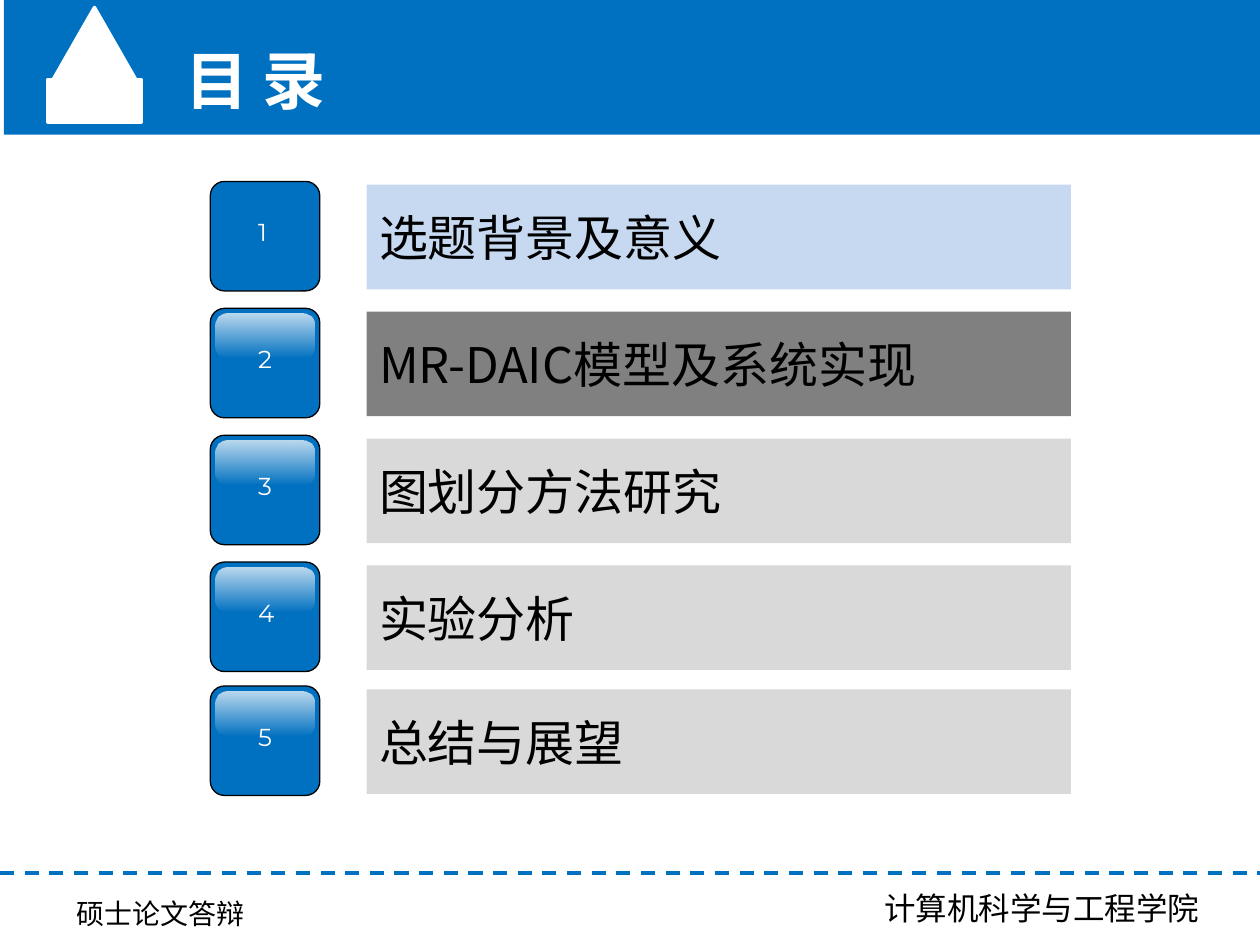
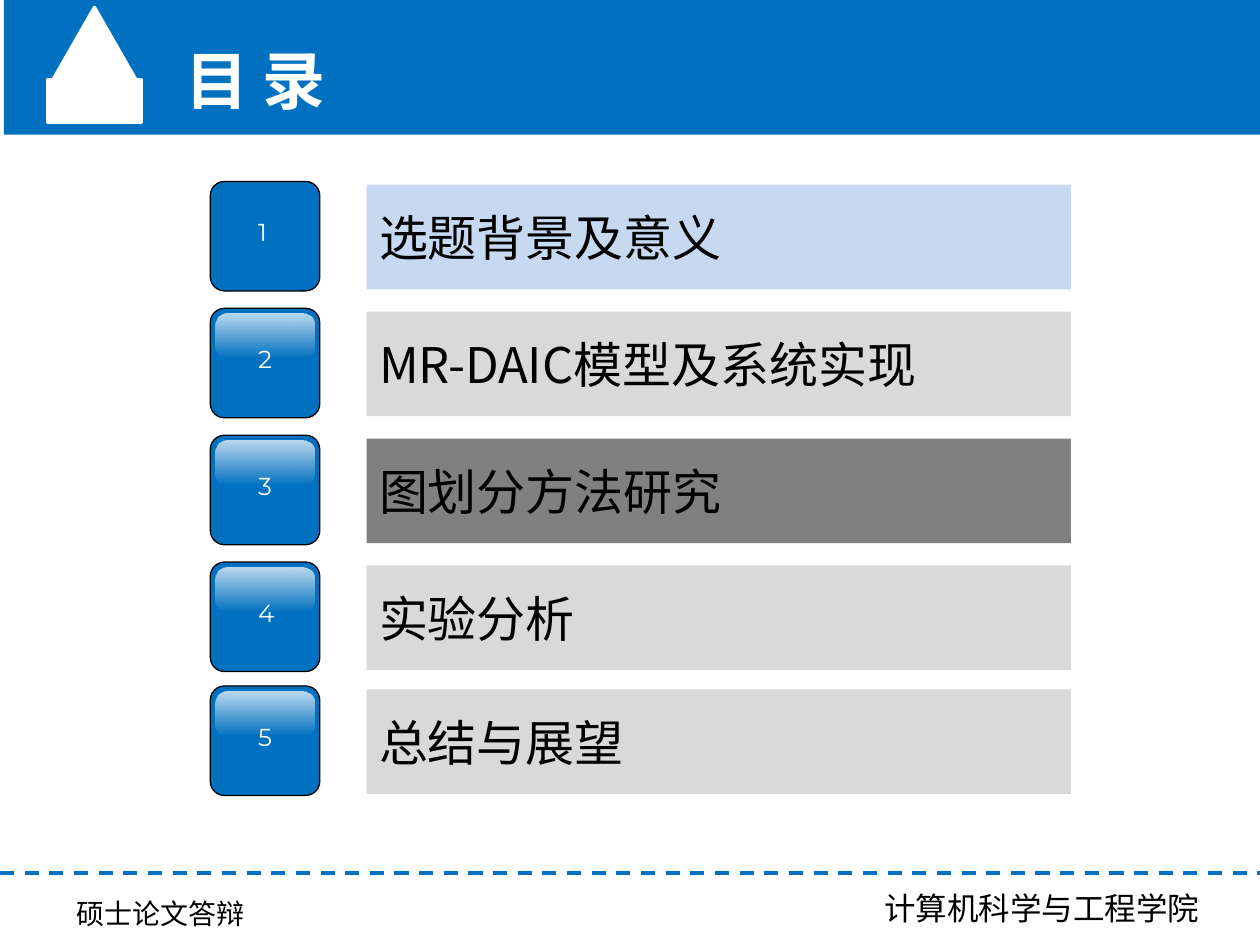
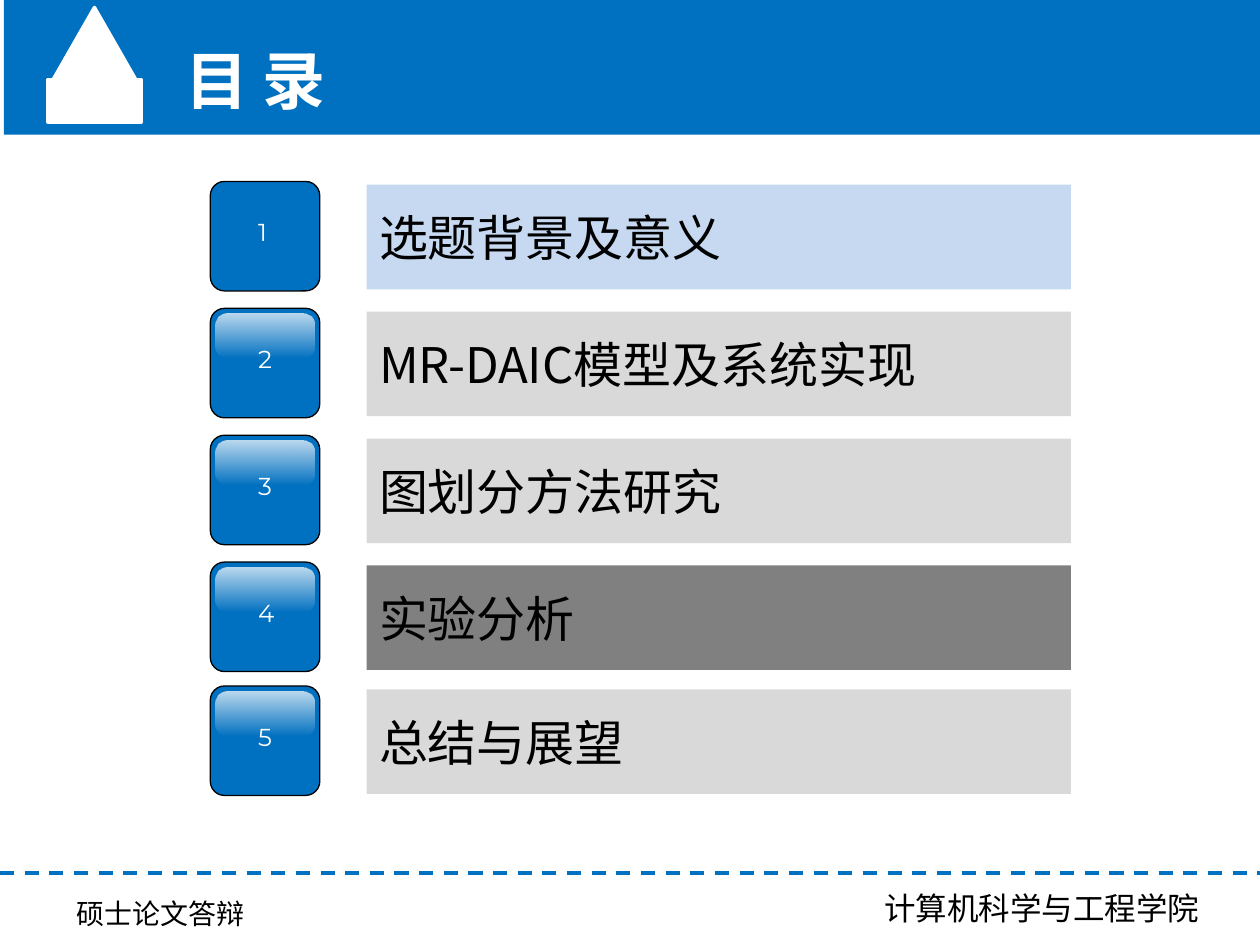
from dataclasses import dataclass

from lxml.etree import SubElement
from pptx import Presentation
from pptx.dml.color import RGBColor as RGB
from pptx.enum.dml import MSO_LINE
from pptx.enum.shapes import MSO_CONNECTOR, MSO_SHAPE as SHAPE
from pptx.enum.text import MSO_ANCHOR as ANCHOR, MSO_AUTO_SIZE as AUTOSIZE, PP_ALIGN as ALIGN
from pptx.oxml.ns import qn
from pptx.util import Pt


@dataclass(frozen=True)
class Theme:
    blue: RGB = RGB(0x00, 0x70, 0xC0)
    white: RGB = RGB(0xFF, 0xFF, 0xFF)
    black: RGB = RGB(0x00, 0x00, 0x00)
    first: RGB = RGB(0xC6, 0xD9, 0xF1)
    active: RGB = RGB(0x80, 0x80, 0x80)
    idle: RGB = RGB(0xD9, 0xD9, 0xD9)
    font: str = "Noto Sans CJK SC"
    school_font: str = "Noto Sans CJK JP"
    number_font: str = "Montserrat"
    title: int = 36
    chapter: int = 28
    school: int = 18
    occasion: int = 16
    number: int = 14


# Content
TITLE = "目 录"
CHAPTERS = ("选题背景及意义", "MR-DAIC模型及系统实现", "图划分方法研究", "实验分析", "总结与展望")
ACTIVE_CHAPTERS = (2, 3, 4)

# Agenda rows, in points
ROW_TOPS = (103.7, 176.2, 248.7, 321.2, 392)
BADGE_LEFT, BADGE_SIZE = 120.2, 62.6
BAR_LEFT, BAR_WIDTH, BAR_HEIGHT, BAR_DROP = 209.5, 402.5, 59.8, 1.9


class Deck:
    def __init__(self, theme):
        self.theme = theme
        self.prs = Presentation()
        self.prs.slide_width, self.prs.slide_height = Pt(720), Pt(540)
        self.layout = self.prs.slide_layouts[5]
        for holder in list(self.layout.placeholders)[1:]:
            holder.element.getparent().remove(holder.element)
        self.slide = None

    def format(self, frame, text, size, color, font=None, bold=False, align=ALIGN.LEFT):
        """Write one line of text and style its run."""
        frame.text = text
        line = frame.paragraphs[0]
        line.alignment = align
        run = line.runs[0]
        run.font.size, run.font.bold = Pt(size), bold
        run.font.color.rgb = color
        run.font.name = font or self.theme.font
        SubElement(run.font._element, qn("a:ea"), typeface=run.font.name)
        return run

    def shape(self, kind, box, fill=None, line=None, width=2, onto=None):
        shape = (onto or self.slide).shapes.add_shape(kind, *map(Pt, box))
        shape.shadow.inherit = False
        if fill is not None:
            shape.fill.solid()
            shape.fill.fore_color.rgb = fill
        if line is None:
            shape.line.fill.background()
        else:
            shape.line.color.rgb = line
            shape.line.width = Pt(width)
        return shape

    def label(self, box, text, size, color, font=None, align=ALIGN.LEFT, onto=None):
        label = (onto or self.slide).shapes.add_textbox(*map(Pt, box))
        label.text_frame.word_wrap = False
        self.format(label.text_frame, text, size, color, font, align=align)
        return label

    def dashed_rule(self, top):
        rule = self.slide.shapes.add_connector(
            MSO_CONNECTOR.STRAIGHT, Pt(0), Pt(top), self.prs.slide_width, Pt(top))
        rule.line.color.rgb = self.theme.blue
        rule.line.width = Pt(2)
        rule.line.dash_style = MSO_LINE.DASH
        SubElement(rule._element.spPr, qn("a:effectLst"))
        return rule

    def frame(self):
        """Draw the shared band, emblem and footer, and move them to the layout."""
        t = self.theme
        parts = (
            self.shape(SHAPE.RECTANGLE, (2.2, 0, 717.8, 77), t.blue),
            self.shape(SHAPE.RECTANGLE, (27.4, 45.4, 53.3, 24.5), t.white, t.white),
            self.shape(SHAPE.ISOSCELES_TRIANGLE, (28.8, 4.3, 50.4, 44), t.white, t.white),
            self.label((498.2, 504.7, 196.6, 28.8), "计算机科学与工程学院",
                       t.school, t.black, t.school_font),
            self.dashed_rule(499),
            self.label((36.7, 509, 111.6, 26.6), "硕士论文答辩", t.occasion, t.black),
        )
        for part in parts:
            self.layout.shapes._spTree.append(part._element)

    def add_slide(self, title):
        self.slide = self.prs.slides.add_slide(self.layout)
        if len(self.prs.slides) == 1:
            self.frame()
        heading = self.slide.shapes.title
        heading.left, heading.top, heading.width, heading.height = map(Pt, (98.6, 20.2, 97.9, 51.1))
        frame = heading.text_frame
        frame.word_wrap = False
        frame.auto_size = AUTOSIZE.SHAPE_TO_FIT_TEXT
        frame.vertical_anchor = ANCHOR.TOP
        self.format(frame, title, self.theme.title, self.theme.white, bold=True)

    def badge(self, number, top, glossy):
        t = self.theme
        badge = self.slide.shapes.add_group_shape()
        tile = self.shape(SHAPE.ROUNDED_RECTANGLE, (BADGE_LEFT, top, BADGE_SIZE, BADGE_SIZE),
                          t.blue, t.black, 0.75, onto=badge)
        tile.adjustments[0] = 0.13
        digit = self.label((BADGE_LEFT + 20.2, top + 17, 16.6, 28.8), str(number), t.number,
                           t.white, t.number_font, ALIGN.CENTER, onto=badge)
        digit.text_frame.paragraphs[0].runs[0].font._element.set("spc", "-70")
        if glossy:
            self.gloss(badge, top)

    def gloss(self, badge, top):
        """White sheen that fades out downwards."""
        gloss = self.shape(SHAPE.ROUNDED_RECTANGLE,
                           (BADGE_LEFT + 2.9, top + 2.9, BADGE_SIZE - 5.8, 25.2), onto=badge)
        gloss.adjustments[0] = 0.26
        gloss.fill.gradient()
        gloss.fill.gradient_angle = 270
        for stop, position in zip(gloss.fill.gradient_stops, (0, 1)):
            stop.color.rgb = self.theme.white
            stop.position = position
        for color, alpha in zip(gloss._element.spPr.iter(qn("a:srgbClr")), ("75000", "0")):
            SubElement(color, qn("a:alpha"), val=alpha)

    def chapter_bar(self, text, top, fill):
        bar = self.shape(SHAPE.RECTANGLE, (BAR_LEFT, top + BAR_DROP, BAR_WIDTH, BAR_HEIGHT), fill)
        bar.text_frame.vertical_anchor = ANCHOR.MIDDLE
        self.format(bar.text_frame, text, self.theme.chapter, self.theme.black)

    def agenda(self, active):
        t = self.theme
        for number, (chapter, top) in enumerate(zip(CHAPTERS, ROW_TOPS), 1):
            fill = t.active if number == active else t.first if number == 1 else t.idle
            self.badge(number, top, glossy=number > 1)
            self.chapter_bar(chapter, top, fill)


def main():
    deck = Deck(Theme())
    for active in ACTIVE_CHAPTERS:
        deck.add_slide(TITLE)
        deck.agenda(active)
    deck.prs.save("out.pptx")


if __name__ == "__main__":
    main()
